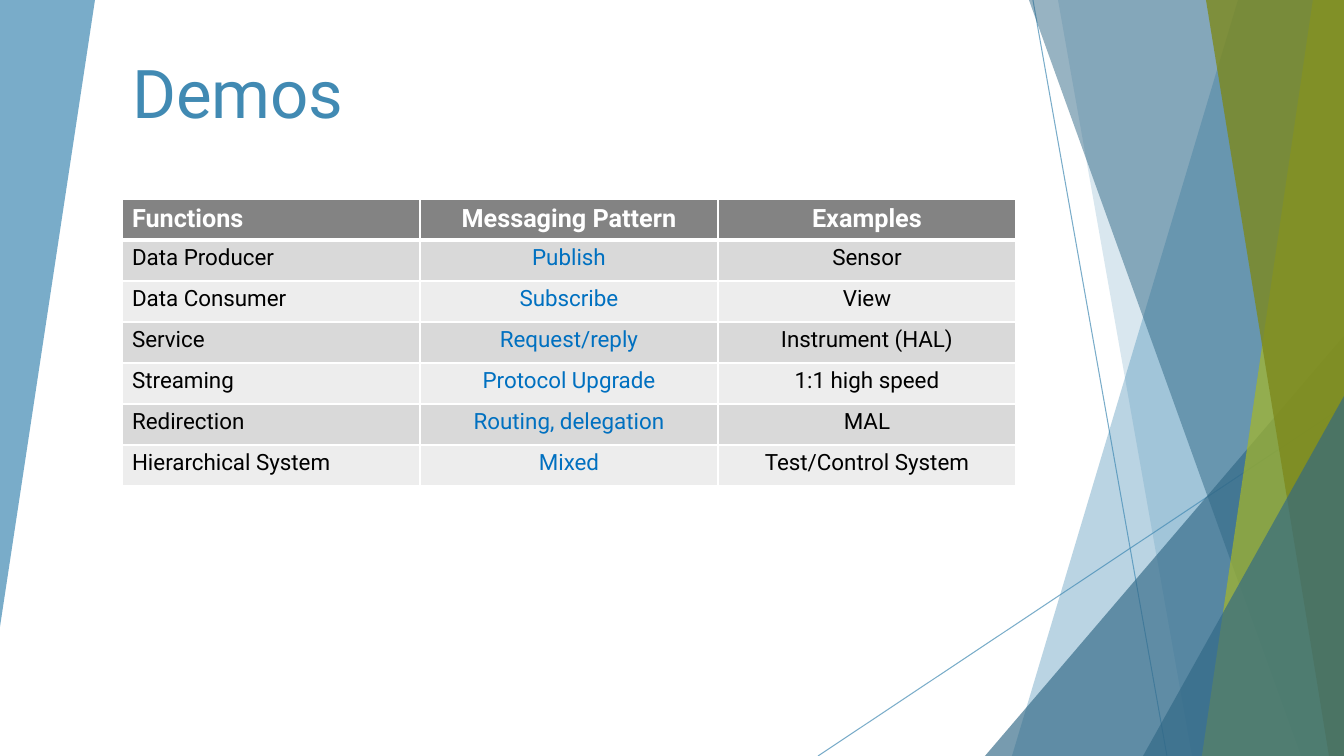
from dataclasses import dataclass

import lxml.etree
import pptx
import pptx.dml.color
import pptx.enum.dml
import pptx.enum.shapes
import pptx.enum.text
import pptx.oxml
import pptx.oxml.ns
import pptx.util

PIXEL = 914400 / 100.8
PAGE_WIDTH, PAGE_HEIGHT = 1344, 756


@dataclass(frozen=True)
class Theme:
    """Colours, font and type sizes of the slide."""

    font: str = "Roboto"
    blue: str = "418AB3"
    deep_blue: str = "316886"
    lime: str = "A6B727"
    olive: str = "7D891D"
    white: str = "FFFFFF"
    black: str = "000000"
    pattern: str = "0070C0"
    header: str = "838383"
    bands: tuple[str, str] = ("D9D9D9", "EDEDED")
    title_size: int = 48
    header_size: int = 18
    body_size: int = 16
    hairline: float = 0.75
    border: int = 1
    header_border: int = 3


@dataclass(frozen=True)
class Panel:
    """Area between a slanted edge and a side of the page."""

    top_x: int
    bottom_x: int
    color: str
    opacity: int
    side_x: int = PAGE_WIDTH
    bottom: int = PAGE_HEIGHT


@dataclass(frozen=True)
class Wedge:
    """Triangle that fills the lower right corner from a given left and top."""

    left: int
    top: int
    color: str
    opacity: int


@dataclass(frozen=True)
class Ray:
    """Thin line that runs down to the bottom of the page."""

    start_x: int
    start_y: int
    end_x: int


THEME = Theme()
LEFT_PANEL = Panel(95, 0, THEME.blue, 70, side_x=0, bottom=627)
RAYS = [Ray(1033, 0, 1167), Ray(PAGE_WIDTH, 406, 818)]
RIGHT_FACETS = [
    Panel(1238, 1012, THEME.blue, 36),
    Panel(1058, 1192, THEME.blue, 20),
    Wedge(985, 336, THEME.deep_blue, 66),
    Panel(1029, 1301, THEME.deep_blue, 50),
    Panel(1313, 1202, THEME.lime, 70),
    Panel(1206, 1329, THEME.olive, 80),
    Wedge(1143, 396, THEME.deep_blue, 66),
]

TABLE_LEFT, TABLE_TOP, COLUMN_WIDTH, ROW_HEIGHT = 122, 199, 298, 41
DEMO_ROWS = [
    ("Functions", "Messaging Pattern", "Examples"),
    ("Data Producer", "Publish", "Sensor"),
    ("Data Consumer", "Subscribe", "View"),
    ("Service", "Request/reply", "Instrument (HAL)"),
    ("Streaming", "Protocol Upgrade", "1:1 high speed"),
    ("Redirection", "Routing, delegation", "MAL"),
    ("Hierarchical System", "Mixed", "Test/Control System"),
]


def px(pixels: float) -> int:
    """Turn pixels into EMU."""
    return pptx.util.Emu(round(pixels * PIXEL))


def rgb(color: str) -> pptx.dml.color.RGBColor:
    """Turn a hex string into a colour."""
    return pptx.dml.color.RGBColor.from_string(color)


def set_opacity(element, opacity: int) -> None:
    """Give the first colour in an element an opacity in percent."""
    color = next(element.iter(pptx.oxml.ns.qn("a:srgbClr")))
    alpha = lxml.etree.SubElement(color, pptx.oxml.ns.qn("a:alpha"))
    alpha.set("val", str(opacity * 1000))


def write_text(frame, text: str, *, size: int, color: str, bold: bool = False,
               centered: bool = False, line_spacing: float = 1.0) -> None:
    """Write one formatted paragraph into a text frame."""
    para = frame.paragraphs[0]
    alignment = pptx.enum.text.PP_ALIGN
    para.alignment = alignment.CENTER if centered else alignment.LEFT
    para.line_spacing = line_spacing
    span = para.add_run()
    span.text = text
    span.font.name = THEME.font
    span.font.size = pptx.util.Pt(size)
    span.font.bold = bold
    span.font.color.rgb = rgb(color)


def paint(shape, color: str, opacity: int) -> None:
    """Give a shape a translucent fill without line or shadow."""
    shape.shadow.inherit = False
    shape.line.fill.background()
    shape.fill.solid()
    shape.fill.fore_color.rgb = rgb(color)
    set_opacity(shape.fill._xPr, opacity)


def draw_panel(page, panel: Panel) -> None:
    """Draw a panel as a freeform."""
    outline = page.shapes.build_freeform(panel.top_x, 0, scale=PIXEL)
    outline.add_line_segments([(panel.side_x, 0), (panel.side_x, panel.bottom),
                               (panel.bottom_x, panel.bottom)])
    paint(outline.convert_to_shape(), panel.color, panel.opacity)


def draw_wedge(page, wedge: Wedge) -> None:
    """Draw a triangle with its apex on the right edge."""
    shape = page.shapes.add_shape(
        pptx.enum.shapes.MSO_SHAPE.ISOSCELES_TRIANGLE, px(wedge.left), px(wedge.top),
        px(PAGE_WIDTH - wedge.left), px(PAGE_HEIGHT - wedge.top))
    shape.adjustments[0] = 1
    paint(shape, wedge.color, wedge.opacity)


def draw_ray(page, ray: Ray) -> None:
    """Draw a translucent hairline."""
    line = page.shapes.add_connector(
        pptx.enum.shapes.MSO_CONNECTOR.STRAIGHT, px(ray.start_x), px(ray.start_y),
        px(ray.end_x), px(PAGE_HEIGHT))
    line.line.width = pptx.util.Pt(THEME.hairline)
    line.line.color.rgb = rgb(THEME.blue)
    properties = line._element.spPr
    set_opacity(properties, 70)
    lxml.etree.SubElement(properties, pptx.oxml.ns.qn("a:effectLst"))


def set_borders(cell, top: int, bottom: int) -> None:
    """Add white borders to a cell; call this before filling it."""
    properties = cell._tc.get_or_add_tcPr()
    widths = {"lnL": THEME.border, "lnR": THEME.border, "lnT": top, "lnB": bottom}
    for side, width in widths.items():
        properties.append(pptx.oxml.parse_xml(
            f'<a:{side} {pptx.oxml.ns.nsdecls("a")} w="{pptx.util.Pt(width)}"><a:solidFill>'
            f'<a:srgbClr val="{THEME.white}"/></a:solidFill></a:{side}>'))


def draw_table(page) -> None:
    """Draw the table of demos with a header and banded rows."""
    columns = len(DEMO_ROWS[0])
    table = page.shapes.add_table(
        len(DEMO_ROWS), columns, px(TABLE_LEFT), px(TABLE_TOP),
        px(COLUMN_WIDTH * columns), px(ROW_HEIGHT * len(DEMO_ROWS))).table
    for row_index, texts in enumerate(DEMO_ROWS):
        is_header = row_index == 0
        fill = THEME.header if is_header else THEME.bands[(row_index - 1) % 2]
        top = THEME.header_border if row_index == 1 else THEME.border
        bottom = THEME.header_border if is_header else THEME.border
        for column, text in enumerate(texts):
            cell = table.cell(row_index, column)
            set_borders(cell, top, bottom)
            cell.fill.solid()
            cell.fill.fore_color.rgb = rgb(fill)
            body_color = THEME.pattern if column == 1 else THEME.black
            write_text(cell.text_frame, text, bold=is_header, centered=column > 0,
                       size=THEME.header_size if is_header else THEME.body_size,
                       color=THEME.white if is_header else body_color)


def write_title(page) -> None:
    """Move the title placeholder and write the title."""
    title = page.shapes.title
    title.left, title.top, title.width, title.height = px(122), px(32), px(822), px(106)
    frame = title.text_frame
    frame.auto_size = pptx.enum.text.MSO_AUTO_SIZE.NONE
    frame.vertical_anchor = pptx.enum.text.MSO_ANCHOR.BOTTOM
    write_text(frame, "Demos", size=THEME.title_size, color=THEME.blue, line_spacing=0.9)


def main() -> None:
    """Build and save the deck."""
    deck = pptx.Presentation()
    deck.slide_width, deck.slide_height = px(PAGE_WIDTH), px(PAGE_HEIGHT)
    page = deck.slides.add_slide(deck.slide_layouts.get_by_name("Title Only"))
    draw_panel(page, LEFT_PANEL)
    for ray in RAYS:
        draw_ray(page, ray)
    for facet in RIGHT_FACETS:
        draw = draw_panel if isinstance(facet, Panel) else draw_wedge
        draw(page, facet)
    write_title(page)
    draw_table(page)
    deck.save("out.pptx")


main()
